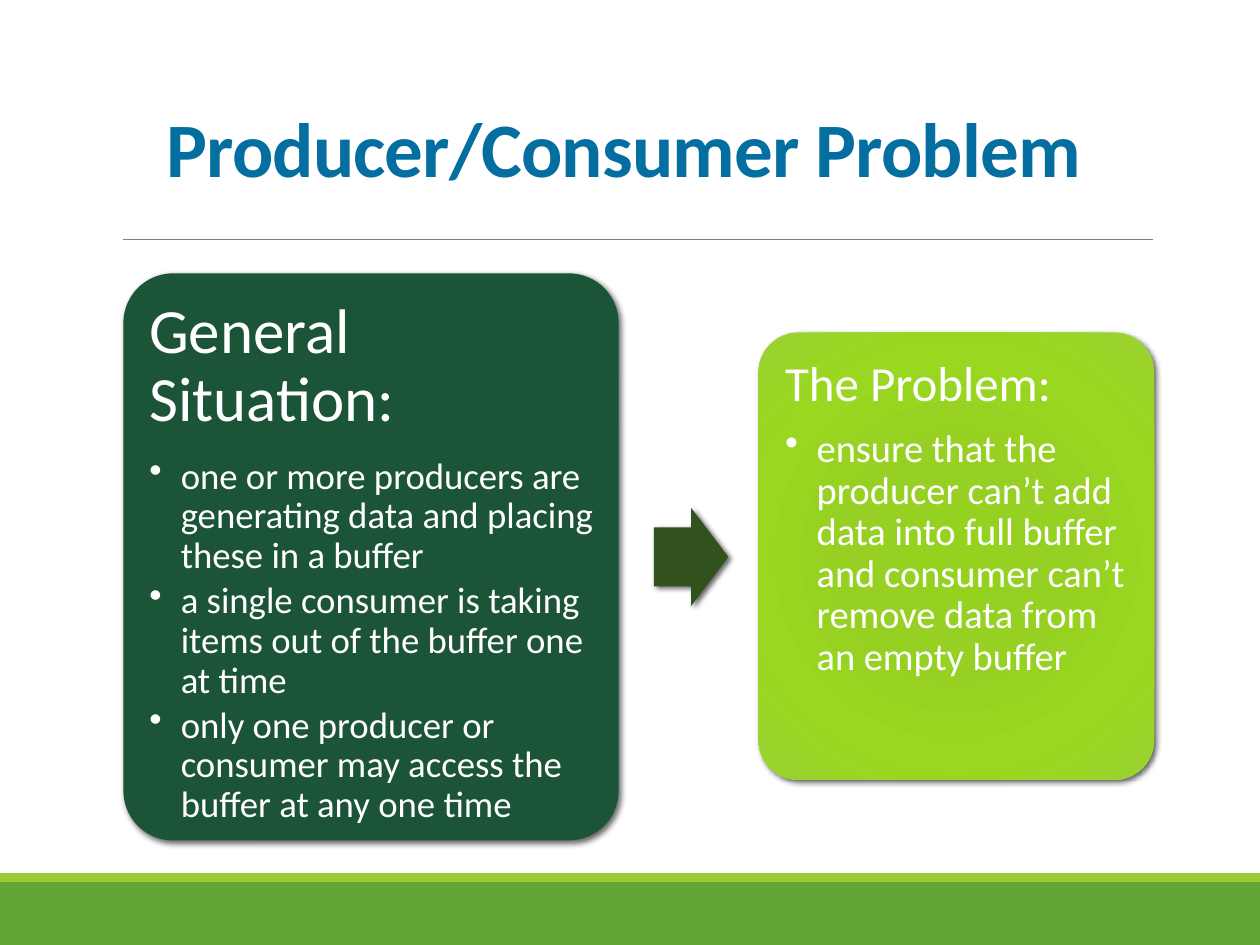
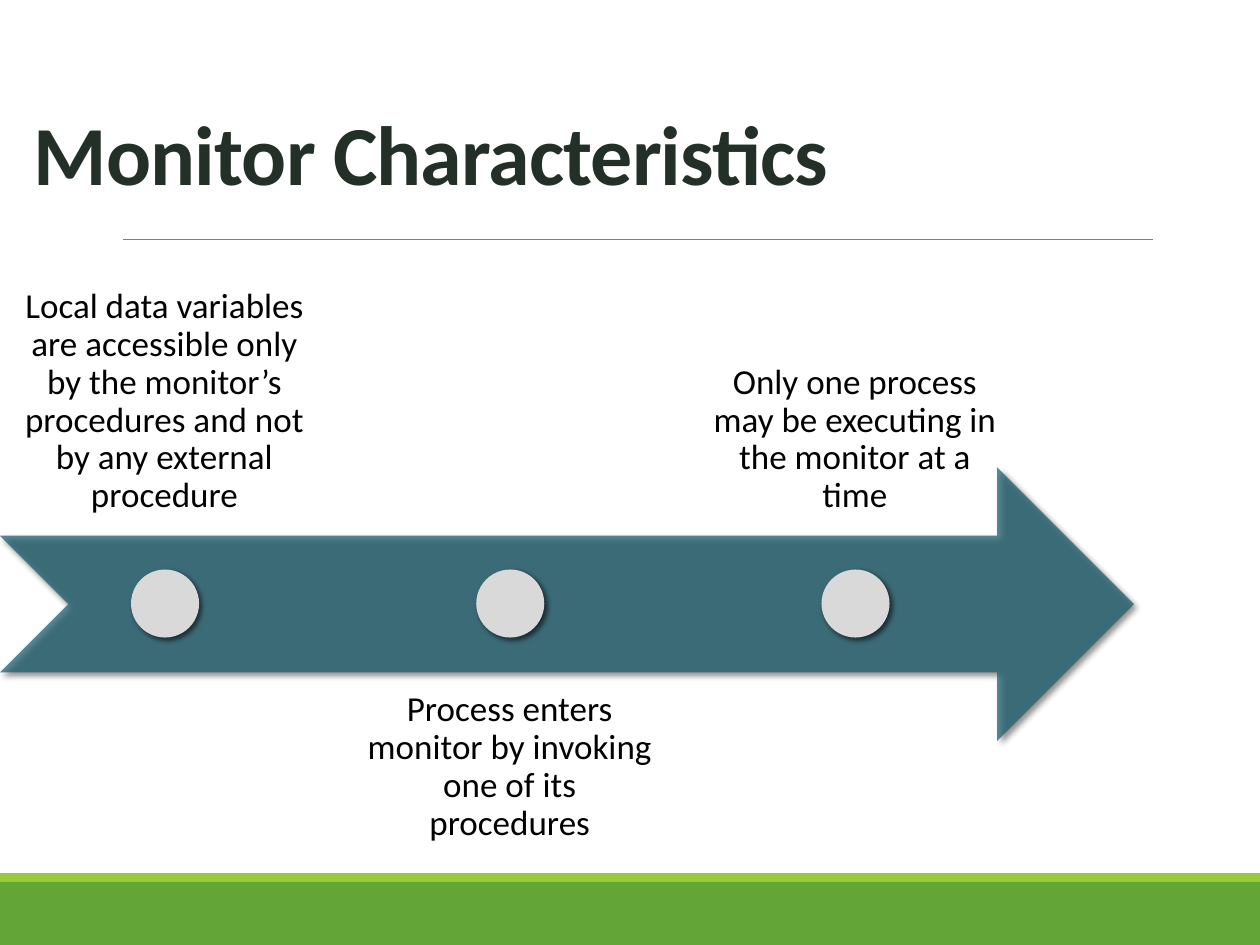
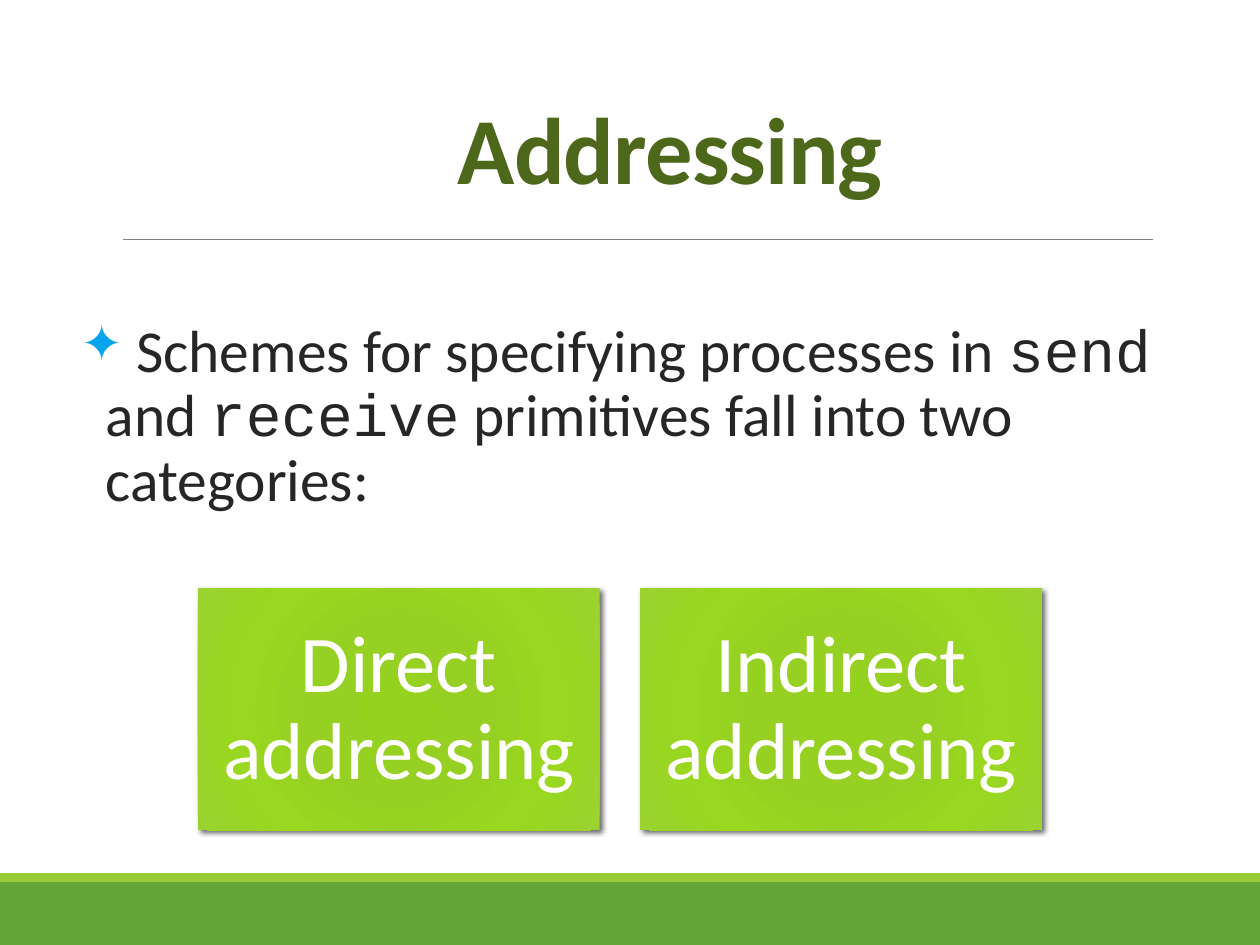
from lxml.etree import SubElement
from pptx import Presentation
from pptx.dml.color import RGBColor
from pptx.enum.shapes import MSO_CONNECTOR as Connector, MSO_SHAPE as Shape
from pptx.enum.text import MSO_ANCHOR as Anchor, PP_ALIGN as Align
from pptx.oxml.ns import qn
from pptx.util import Inches, Pt

WHITE = RGBColor(0xFF, 0xFF, 0xFF)
BLACK = RGBColor(0, 0, 0)
BAND_GREEN = RGBColor(0x63, 0xA5, 0x37)
STRIPE_GREEN = RGBColor(0x99, 0xCB, 0x38)
RULE_GRAY = RGBColor(0x80, 0x80, 0x80)
TITLE_BLUE = RGBColor(0x05, 0x6E, 0xA0)
TITLE_DARK = RGBColor(0x22, 0x30, 0x28)
TITLE_OLIVE = RGBColor(0x4D, 0x67, 0x1B)
CARD_GREEN = RGBColor(0x1C, 0x54, 0x38)
ARROW_GREEN = RGBColor(0x31, 0x52, 0x1C)
TIMELINE_TEAL = RGBColor(0x1E, 0x5E, 0x70)
DOT_GRAY = RGBColor(0xD9, 0xD9, 0xD9)
BODY_GRAY = RGBColor(0x26, 0x26, 0x26)
STAR_BLUE = RGBColor(0x08, 0xA5, 0xEF)
LIME_STOPS = [
    (0, RGBColor(0x95, 0xD2, 0x20)),
    (34, RGBColor(0x96, 0xD0, 0x23)),
    (70, RGBColor(0x99, 0xD7, 0x20)),
    (100, RGBColor(0x9B, 0xD2, 0x31)),
]
BODY_FONT = "Calibri"
CODE_FONT = "Courier New"


def add_color(parent, color, alpha=None):
    """Append an RGB colour, with an optional opacity in percent."""
    node = SubElement(parent, qn("a:srgbClr"), val=str(color))
    if alpha is not None:
        SubElement(node, qn("a:alpha"), val=str(alpha * 1000))


def add_shadow(shape):
    """Give a shape the soft shadow shared by all diagrams."""
    effects = shape._element.spPr.find(qn("a:effectLst"))
    shadow = SubElement(effects, qn("a:outerShdw"), blurRad=str(Pt(3)), dist=str(Pt(2)),
                        dir=str(45 * 60000), algn="ctr", rotWithShape="0")
    add_color(shadow, BLACK, 60)


def fill_lime(shape):
    """Fill a shape with the circular lime gradient."""
    shape.fill.gradient()
    gradient = shape._element.spPr.find(qn("a:gradFill"))
    for child in list(gradient):
        gradient.remove(child)
    stops = SubElement(gradient, qn("a:gsLst"))
    for position, color in LIME_STOPS:
        add_color(SubElement(stops, qn("a:gs"), pos=str(position * 1000)), color)
    circle = SubElement(gradient, qn("a:path"), path="circle")
    SubElement(circle, qn("a:fillToRect"), l="100000", t="100000", r="100000", b="100000")


def add_block(page, kind, left, top, width, height, color=None, shadow=True):
    """Add a borderless shape, lime unless a colour is given."""
    shape = page.shapes.add_shape(kind, Inches(left), Inches(top), Inches(width), Inches(height))
    shape.shadow.inherit = False
    shape.line.fill.background()
    if color is None:
        fill_lime(shape)
    else:
        shape.fill.solid()
        shape.fill.fore_color.rgb = color
    if shadow:
        add_shadow(shape)
    return shape


def add_text_box(page, left, top, width, height):
    """Add an empty text box."""
    return page.shapes.add_textbox(Inches(left), Inches(top), Inches(width), Inches(height))


def set_frame(shape, anchor, left, top, right, bottom):
    """Set wrapping, anchor and insets, and return the text frame."""
    frame = shape.text_frame
    frame.word_wrap = True
    frame.vertical_anchor = anchor
    frame.margin_left, frame.margin_top = Inches(left), Inches(top)
    frame.margin_right, frame.margin_bottom = Inches(right), Inches(bottom)
    return frame


def format_span(span, size, color, font=BODY_FONT):
    """Set the font of one run."""
    span.font.name = font
    span.font.size = Pt(size)
    span.font.color.rgb = color


def format_para(para, size, color, align=Align.LEFT, after=0.35):
    """Style a paragraph; the space after is a share of the text size."""
    para.alignment = align
    para.line_spacing = 0.9
    para.space_after = Pt(size * after)
    for span in para.runs:
        format_span(span, size, color)


def add_bullet(para, symbol, margin, hanging, color=None, percent=None):
    """Give a paragraph a hanging bullet."""
    props = para._p.get_or_add_pPr()
    props.set("marL", str(Inches(margin)))
    props.set("indent", str(-Inches(hanging)))
    if color is not None:
        add_color(SubElement(props, qn("a:buClr")), color)
    if percent is not None:
        SubElement(props, qn("a:buSzPct"), val=str(percent * 1000))
    SubElement(props, qn("a:buChar"), char=symbol)


def add_page(deck):
    """Add a blank page with the footer bands and the rule under the title."""
    page = deck.slides.add_slide(deck.slide_layouts[6])
    add_block(page, Shape.RECTANGLE, 0, 7, 10, 0.5, BAND_GREEN, shadow=False)
    add_block(page, Shape.RECTANGLE, 0, 6.93, 10, 0.07, STRIPE_GREEN, shadow=False)
    rule = page.shapes.add_connector(Connector.STRAIGHT, Inches(0.98), Inches(1.9),
                                     Inches(9.15), Inches(1.9))
    rule.line.color.rgb = RULE_GRAY
    rule.line.width = Pt(0.5)
    SubElement(rule._element.spPr, qn("a:effectLst"))
    return page


def add_title(page, text, left, top, width, height, size, color, align=Align.CENTER):
    """Add a bold, slightly condensed title."""
    box = add_text_box(page, left, top, width, height)
    frame = set_frame(box, Anchor.BOTTOM, 0.1, 0.05, 0.1, 0.05)
    frame.text = text
    para = frame.paragraphs[0]
    format_para(para, size, color, align, after=0)
    para.line_spacing = 0.85
    span = para.runs[0]
    span.font.bold = True
    span._r.get_or_add_rPr().set("spc", "-50")


def add_card(page, left, top, width, height, color, inset, heading, bullets, sizes):
    """Add a rounded card with a heading and bullets."""
    card = add_block(page, Shape.ROUNDED_RECTANGLE, left, top, width, height, color)
    card.adjustments[0] = 0.1
    frame = set_frame(card, Anchor.TOP, inset, inset, inset - 0.02, inset)
    frame.text = "\n".join([heading] + bullets)
    heading_size, bullet_size = sizes
    format_para(frame.paragraphs[0], heading_size, WHITE)
    for para in frame.paragraphs[1:]:
        format_para(para, bullet_size, WHITE, after=0.15)
        add_bullet(para, "•", 0.25, 0.25)


def add_centered_text(shape, text, anchor, inset, size, color):
    """Write one centred paragraph in a shape."""
    frame = set_frame(shape, anchor, inset, inset, inset, inset)
    frame.text = text
    format_para(frame.paragraphs[0], size, color, Align.CENTER)


def build_problem(deck):
    """Build the page on the producer/consumer problem."""
    page = add_page(deck)
    add_title(page, "Producer/Consumer Problem", 0.67, 0.83, 8.56, 0.75, 44, TITLE_BLUE)
    add_card(page, 0.98, 2.17, 3.93, 4.5, CARD_GREEN, 0.09, "General Situation:", [
        "one or more producers are generating data and placing these in a buffer",
        "a single consumer is taking items out of the buffer one at time",
        "only one producer or consumer may access the buffer at any one time",
    ], (36, 21))
    arrow = add_block(page, Shape.RIGHT_ARROW, 5.19, 4.03, 0.59, 0.78, ARROW_GREEN)
    arrow.adjustments[0] = 0.6
    add_card(page, 6.02, 2.64, 3.14, 3.55, None, 0.12, "The Problem:", [
        "ensure that the producer can’t add data into full buffer and consumer can’t "
        "remove data from an empty buffer",
    ], (28, 22))


def build_monitor(deck):
    """Build the page on monitor characteristics."""
    page = add_page(deck)
    add_title(page, "Monitor Characteristics", 0.17, 0.33, 8.83, 1.33, 48, TITLE_DARK, Align.LEFT)
    timeline = add_block(page, Shape.NOTCHED_RIGHT_ARROW, 0, 3.71, 9, 2.17, TIMELINE_TEAL)
    color = timeline._element.spPr.find(qn("a:solidFill")).find(qn("a:srgbClr"))
    SubElement(color, qn("a:alpha"), val="73000")
    steps = [
        ("Local data variables are accessible only by the monitor’s procedures and not "
         "by any external procedure", 2.08, Anchor.BOTTOM),
        ("Process enters monitor by invoking one of its procedures", 5.33, Anchor.TOP),
        ("Only one process may be executing in the monitor at a time", 2.08, Anchor.BOTTOM),
    ]
    for index, (text, top, anchor) in enumerate(steps):
        left = 2.74 * index
        label = add_text_box(page, left, top, 2.61, 2.17)
        add_centered_text(label, text, anchor, 0.16, 20, BLACK)
        add_block(page, Shape.OVAL, left + 1.04, 4.52, 0.54, 0.54, DOT_GRAY)


def build_addressing(deck):
    """Build the page on addressing schemes."""
    page = add_page(deck)
    add_title(page, "Addressing", 1.04, 0.5, 8.56, 1.17, 54, TITLE_OLIVE)
    box = add_text_box(page, 0.42, 2.5, 9, 2)
    para = set_frame(box, Anchor.TOP, 0, 0.05, 0, 0.05).paragraphs[0]
    format_para(para, 34, BODY_GRAY, after=0)
    para.space_before = Pt(2)
    add_bullet(para, "✦", 0.42, 0.2, STAR_BLUE, 85)
    for text, font in [
        (" Schemes for specifying processes in ", BODY_FONT),
        ("send", CODE_FONT),
        (" and ", BODY_FONT),
        ("receive", CODE_FONT),
        (" primitives fall into two categories:", BODY_FONT),
    ]:
        span = para.add_run()
        span.text = text
        format_span(span, 34, BODY_GRAY, font)
    for index, text in enumerate(["Direct addressing", "Indirect addressing"]):
        tile = add_block(page, Shape.RECTANGLE, 1.57 + 3.51 * index, 4.67, 3.19, 1.92)
        add_centered_text(tile, text, Anchor.MIDDLE, 0.19, 46, WHITE)


def main():
    """Build and save the deck."""
    deck = Presentation()
    deck.slide_width, deck.slide_height = Inches(10), Inches(7.5)
    build_problem(deck)
    build_monitor(deck)
    build_addressing(deck)
    deck.save("out.pptx")


if __name__ == "__main__":
    main()
